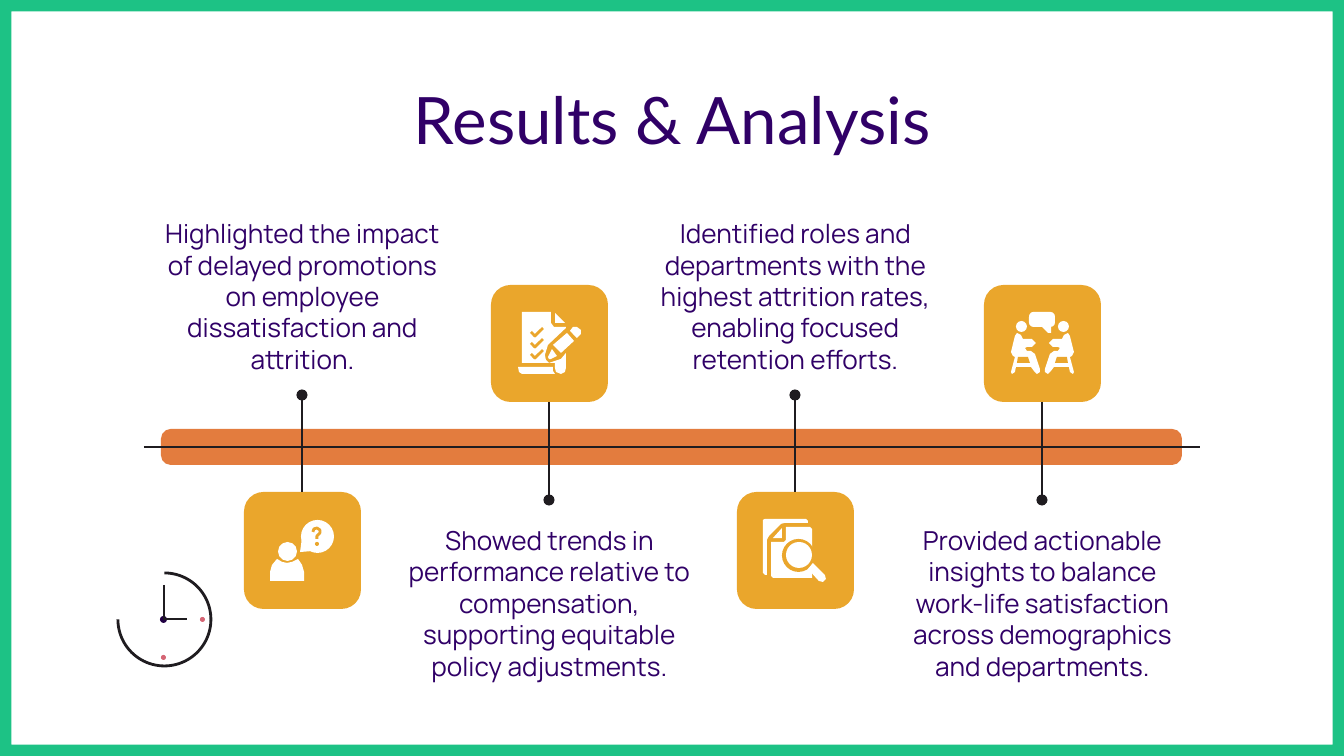
from lxml import etree
from pptx import Presentation
from pptx.dml.color import RGBColor
from pptx.enum.shapes import MSO_CONNECTOR, MSO_SHAPE
from pptx.enum.text import MSO_ANCHOR, PP_ALIGN
from pptx.oxml.ns import qn
from pptx.util import Pt

SCALE = 914400 / 134.4
OVAL, ROUND = MSO_SHAPE.OVAL, MSO_SHAPE.ROUNDED_RECTANGLE
FRAME, ARC = MSO_SHAPE.FRAME, MSO_SHAPE.ARC
STRAIGHT = MSO_CONNECTOR.STRAIGHT
TOP, BOTTOM = MSO_ANCHOR.TOP, MSO_ANCHOR.BOTTOM
CENTER = PP_ALIGN.CENTER

COLORS = {
    "paper": "FFFFFF", "green": "1DC285", "amber": "EAA62C", "orange": "E37C3E",
    "ink": "1F1C20", "text": "300067", "hub": "210043", "rose": "D56574",
}
WIDE, HIGH = 1344, 756
TITLE = "Results & Analysis"
STEPS = [
    ("Highlighted the impact of delayed promotions on employee dissatisfaction and attrition.", 196),
    ("Showed trends in performance relative to compensation, supporting equitable policy adjustments.", 210),
    ("Identified roles and departments with the highest attrition rates, enabling focused retention efforts.", 203),
    ("Provided actionable insights to balance work-life satisfaction across demographics and departments.", 188),
]
FIRST, LAST = 302, 1042
TILE, COLUMN = 117, 315

ASK = [
    ("oval", "paper", (34, 50, 19, 19)),
    ("poly", "paper", [(26, 89), (26, 80), (28, 73), (33, 67), (38, 70), (43, 71),
                       (48, 70), (54, 67), (58, 73), (60, 80), (60, 89)]),
    ("oval", "paper", (57, 28, 33, 33)),
    ("poly", "paper", [(58, 46), (56, 60), (68, 59)]),
    ("pen", "amber", [(69, 40), (70, 37), (73, 36), (76, 38), (76, 41), (73, 44), (73, 47)]),
    ("oval", "amber", (71, 50, 4, 4)),
]
TICKS = [("pen", "amber", [(40, 47 + y), (44, 51 + y), (52, 43 + y)]) for y in (0, 11, 22)]
LIST = [
    ("poly", "paper", [(31, 27), (60, 27), (60, 38), (63, 42), (75, 42), (75, 43), (57, 60),
                       (54, 70), (55, 75), (58, 78), (61, 77), (70, 74), (75, 68), (75, 83),
                       (74, 87), (70, 89), (65, 87), (64, 83), (64, 78), (31, 78)]),
    *TICKS,
    ("poly", "paper", [(64, 28), (64, 38), (74, 38)]),
    ("poly", "paper", [(79, 46), (82, 42), (86, 42), (90, 45), (90, 49), (86, 53)]),
    ("poly", "paper", [(76, 48), (62, 60), (70, 68), (83, 56)]),
    ("poly", "paper", [(61, 64), (57, 72), (58, 74), (60, 74), (66, 71)]),
    ("poly", "paper", [(27, 82), (62, 82), (62, 86), (64, 89), (31, 89), (28, 87)]),
]
SEARCH = [
    ("poly", "paper", [(26, 28), (28, 27), (69, 27), (71, 29), (71, 31), (48, 31),
                       (44, 32), (32, 44), (30, 48), (30, 83), (28, 83), (26, 81)]),
    ("poly", "paper", [(45, 36), (36, 46), (45, 46)]),
    ("poly", "paper", [(49, 35), (73, 35), (75, 37), (75, 86), (36, 86), (34, 84),
                       (34, 50), (47, 50), (49, 48)]),
    ("oval", "amber", (45, 47, 33, 33)),
    ("oval", "paper", (49, 50, 26, 26)),
    ("poly", "paper", [(76, 71), (88, 83), (89, 87), (86, 90), (82, 89), (71, 77)]),
]
SITTER = [(33, 48), (31, 51), (27, 67), (29, 71), (31, 72), (27, 87), (28, 89), (31, 87),
          (32, 82), (47, 82), (50, 86), (53, 89), (56, 87), (56, 84), (51, 69), (47, 66),
          (43, 66), (41, 63), (43, 62), (48, 62), (52, 58), (48, 54), (39, 54), (37, 50)]
SEAT = [(34, 72), (44, 72), (46, 78), (33, 78)]


def flip(points):
    return [(TILE - x, y) for x, y in points]


TALK = [
    ("oval", "paper", (32, 36, 11, 11)),
    ("oval", "paper", (74, 36, 11, 11)),
    ("round", "paper", (45, 27, 26, 15)),
    ("poly", "paper", [(57, 41), (64, 48), (67, 48), (67, 41)]),
    *[("poly", "paper", side) for side in (SITTER, flip(SITTER))],
    *[("poly", "amber", side) for side in (SEAT, flip(SEAT))],
]
ICONS = [ASK, LIST, SEARCH, TALK]
CLOCK = [
    ("arc", "ink", (0, 0, 93, 93)),
    ("oval", "hub", (42, 43, 7, 7)),
    ("pen", "ink", [(46, 12), (46, 46), (69, 46)]),
    ("oval", "rose", (82, 44, 5, 5)),
    ("oval", "rose", (43, 82, 5, 5)),
]
KINDS = {"oval": OVAL, "round": ROUND, "arc": ARC}


def px(value):
    return round(value * SCALE)


def tint(name):
    return RGBColor.from_string(COLORS[name])


def paint(shape, color, stroke=False):
    shape.shadow.inherit = False
    if stroke:
        shape.fill.background()
        shape.line.color.rgb = tint(color)
        shape.line.width = Pt(1.5)
    else:
        shape.fill.solid()
        shape.fill.fore_color.rgb = tint(color)
        shape.line.fill.background()


def block(home, kind, box, color, adjust=(), stroke=False):
    shape = home.add_shape(kind, *map(px, box))
    for i, value in enumerate(adjust):
        shape.adjustments[i] = value
    paint(shape, color, stroke)


def draw(home, parts, left, top):
    group = home.add_group_shape().shapes
    for kind, color, data in parts:
        if kind in KINDS:
            x, y, w, h = data
            adjust = {"arc": (162, 108), "round": (0.3,)}.get(kind, ())
            block(group, KINDS[kind], (left + x, top + y, w, h), color, adjust, kind == "arc")
        else:
            path = group.build_freeform(*data[0], scale=SCALE)
            path.add_line_segments(data[1:], close=kind == "poly")
            paint(path.convert_to_shape(px(left), px(top)), color, kind == "pen")


def rule(home, start, end, dot=False):
    line = home.add_connector(STRAIGHT, *map(px, start + end))
    line.line.color.rgb = tint("ink")
    line.line.width = Pt(1.5)
    if dot:
        etree.SubElement(line.line._get_or_add_ln(), qn("a:tailEnd"), type="oval")
    etree.SubElement(line._element.spPr, qn("a:effectLst"))


def write(home, text, box, size=14, font="Manrope", anchor=TOP):
    frame = home.add_textbox(*map(px, box)).text_frame
    frame.word_wrap = True
    frame.vertical_anchor = anchor
    frame.margin_left = frame.margin_right = frame.margin_top = frame.margin_bottom = Pt(7.2)
    para = frame.paragraphs[0]
    para.alignment = CENTER
    run = para.add_run()
    run.text = text
    run.font.size = Pt(size)
    run.font.name = font
    run.font.color.rgb = tint("text")


def main():
    deck = Presentation()
    deck.slide_width, deck.slide_height = px(WIDE), px(HIGH)
    slide = deck.slides.add_slide(deck.slide_layouts[6])
    slide.background.fill.solid()
    slide.background.fill.fore_color.rgb = tint("paper")
    home = slide.shapes
    block(home, FRAME, (0, 0, WIDE, HIGH), "green", (0.015,))
    block(home, ROUND, (161, 429, 1021, 36), "orange", (0.27,))
    write(home, TITLE, (106, 66, 1133, 85), size=35, font="Lato")
    gap = (LAST - FIRST) / (len(STEPS) - 1)
    for i, ((text, high), icon) in enumerate(zip(STEPS, ICONS)):
        mid = round(FIRST + i * gap)
        above = i % 2 == 0
        left, top = mid - TILE // 2, 492 if above else 285
        block(home, ROUND, (left, top, TILE, TILE), "amber")
        draw(home, icon, left, top)
        edge, tip = (top, 395) if above else (top + TILE, 500)
        rule(home, (mid, edge), (mid, tip), dot=True)
        start = 388 - high if above else 511
        write(home, text, (mid - COLUMN // 2, start, COLUMN, high),
              anchor=BOTTOM if above else TOP)
    rule(home, (144, 447), (1200, 447))
    draw(home, CLOCK, 118, 573)
    deck.save("out.pptx")


if __name__ == "__main__":
    main()
